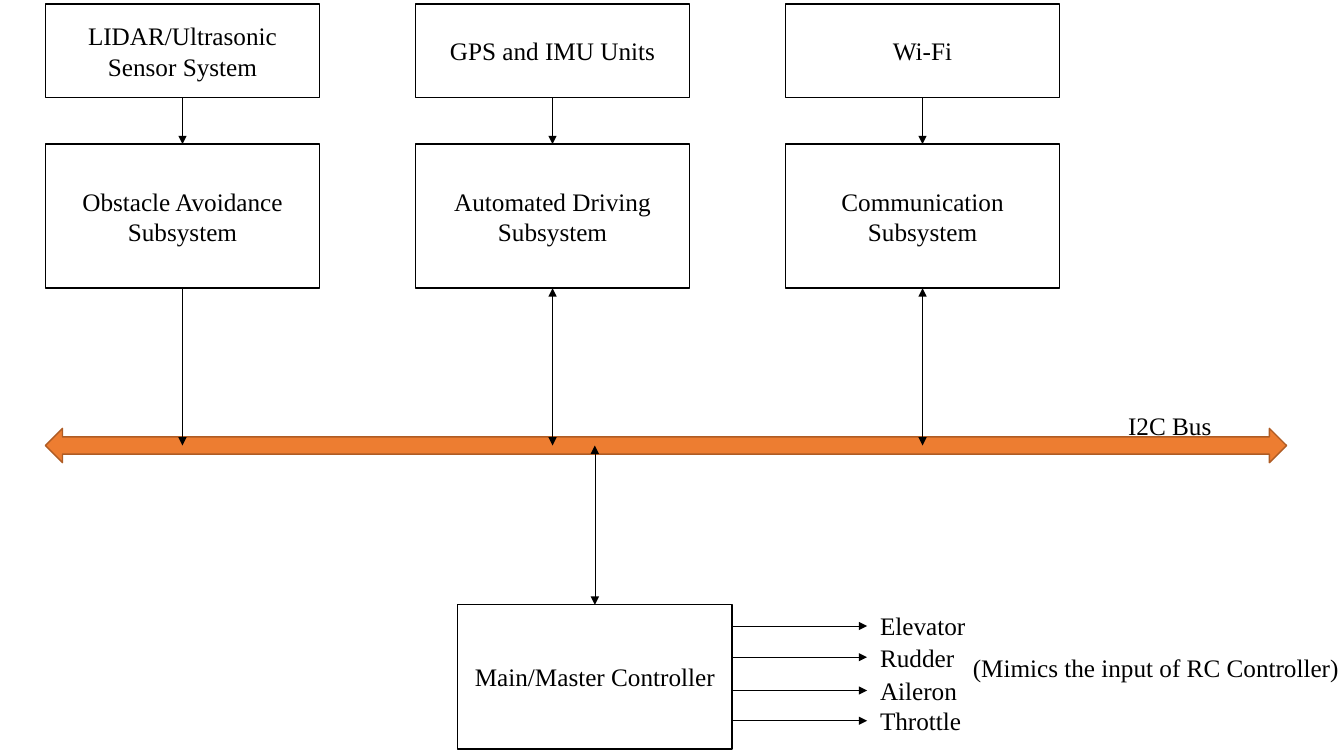
import pptx
import pptx.util
import pptx.dml.color
import pptx.enum.shapes
import pptx.enum.text
import pptx.oxml.ns
import lxml.etree

Inches = pptx.util.Inches
Shape = pptx.enum.shapes.MSO_SHAPE
hex_color = pptx.dml.color.RGBColor.from_string

deck = pptx.Presentation()
deck.slide_width = Inches(13.33)
deck.slide_height = Inches(7.5)
page = deck.slides.add_slide(deck.slide_layouts[6])

# Grid: three columns of equal boxes above a shared bus
left, column_step, box_width = 0.45, 3.67, 2.72
sensor_top, sensor_height = 0.04, 0.93
subsystem_top, box_height = 1.43, 1.43
bus_top, bus_width, bus_height = 4.25, 12.31, 0.34
bus_middle = bus_top + bus_height / 2
controller_left, controller_top = 4.54, 6
controller_right = controller_left + box_width


def write(shape, text, align):
    frame = shape.text_frame
    frame.text = text
    para = frame.paragraphs[0]
    para.alignment = align
    para.font.name = "Times New Roman"
    para.font.size = pptx.util.Pt(18)
    para.font.color.rgb = hex_color("000000")


def add_arrow(x1, y1, x2, y2, both_ends=False):
    arrow = page.shapes.add_connector(
        pptx.enum.shapes.MSO_CONNECTOR.STRAIGHT,
        Inches(x1), Inches(y1), Inches(x2), Inches(y2))
    arrow.line.width = pptx.util.Pt(0.5)
    arrow.line.color.rgb = hex_color("000000")
    outline = arrow.line._get_or_add_ln()
    for end in ["a:headEnd", "a:tailEnd"] if both_ends else ["a:tailEnd"]:
        lxml.etree.SubElement(outline, pptx.oxml.ns.qn(end), type="triangle")
    lxml.etree.SubElement(arrow._element.spPr, pptx.oxml.ns.qn("a:effectLst"))


# Boxes: text, left, top, height
boxes = [("Main/Master Controller", controller_left, controller_top, box_height)]
columns = [
    ("LIDAR/Ultrasonic Sensor System", "Obstacle Avoidance Subsystem"),
    ("GPS and IMU Units", "Automated Driving Subsystem"),
    ("Wi-Fi", "Communication Subsystem"),
]
for column, (sensor, subsystem) in enumerate(columns):
    x = left + column * column_step
    boxes.append((sensor, x, sensor_top, sensor_height))
    boxes.append((subsystem, x, subsystem_top, box_height))

for text, x, y, height in boxes:
    box = page.shapes.add_shape(
        Shape.RECTANGLE, Inches(x), Inches(y), Inches(box_width), Inches(height))
    box.shadow.inherit = False
    box.fill.solid()
    box.fill.fore_color.rgb = hex_color("FFFFFF")
    box.line.color.rgb = hex_color("000000")
    box.line.width = pptx.util.Pt(1)
    box.text_frame.word_wrap = True
    box.text_frame.vertical_anchor = pptx.enum.text.MSO_ANCHOR.MIDDLE
    write(box, text, pptx.enum.text.PP_ALIGN.CENTER)

# I2C bus
bus = page.shapes.add_shape(
    Shape.LEFT_RIGHT_ARROW, Inches(left), Inches(bus_top),
    Inches(bus_width), Inches(bus_height))
bus.shadow.inherit = False
bus.fill.solid()
bus.fill.fore_color.rgb = hex_color("ED7D31")
bus.line.color.rgb = hex_color("AF5C24")
bus.line.width = pptx.util.Pt(1)

# Vertical links: the obstacle column only sends to the bus
for column in range(len(columns)):
    x = left + column * column_step + box_width / 2
    add_arrow(x, sensor_top + sensor_height, x, subsystem_top)
    add_arrow(x, subsystem_top + box_height, x, bus_middle, both_ends=column > 0)
controller_middle = controller_left + box_width / 2
add_arrow(controller_middle, controller_top, controller_middle, bus_middle, both_ends=True)

# Controller outputs and free labels: text, left, top, width
labels = [
    ("I2C Bus", 11.09, 4.02, 1.04),
    ("(Mimics the input of RC Controller)", 9.55, 6.42, 3.87),
]
outputs = [("Elevator", 6.21, 1.06), ("Rudder", 6.52, 0.95),
           ("Aileron", 6.85, 0.97), ("Throttle", 7.15, 1.02)]
label_height = 0.4
for text, y, width in outputs:
    add_arrow(controller_right, y, 8.6, y)
    labels.append((text, 8.63, y - label_height / 2, width))

for text, x, y, width in labels:
    label = page.shapes.add_textbox(
        Inches(x), Inches(y), Inches(width), Inches(label_height))
    label.text_frame.word_wrap = False
    label.text_frame.auto_size = pptx.enum.text.MSO_AUTO_SIZE.SHAPE_TO_FIT_TEXT
    write(label, text, pptx.enum.text.PP_ALIGN.LEFT)

deck.save("out.pptx")
